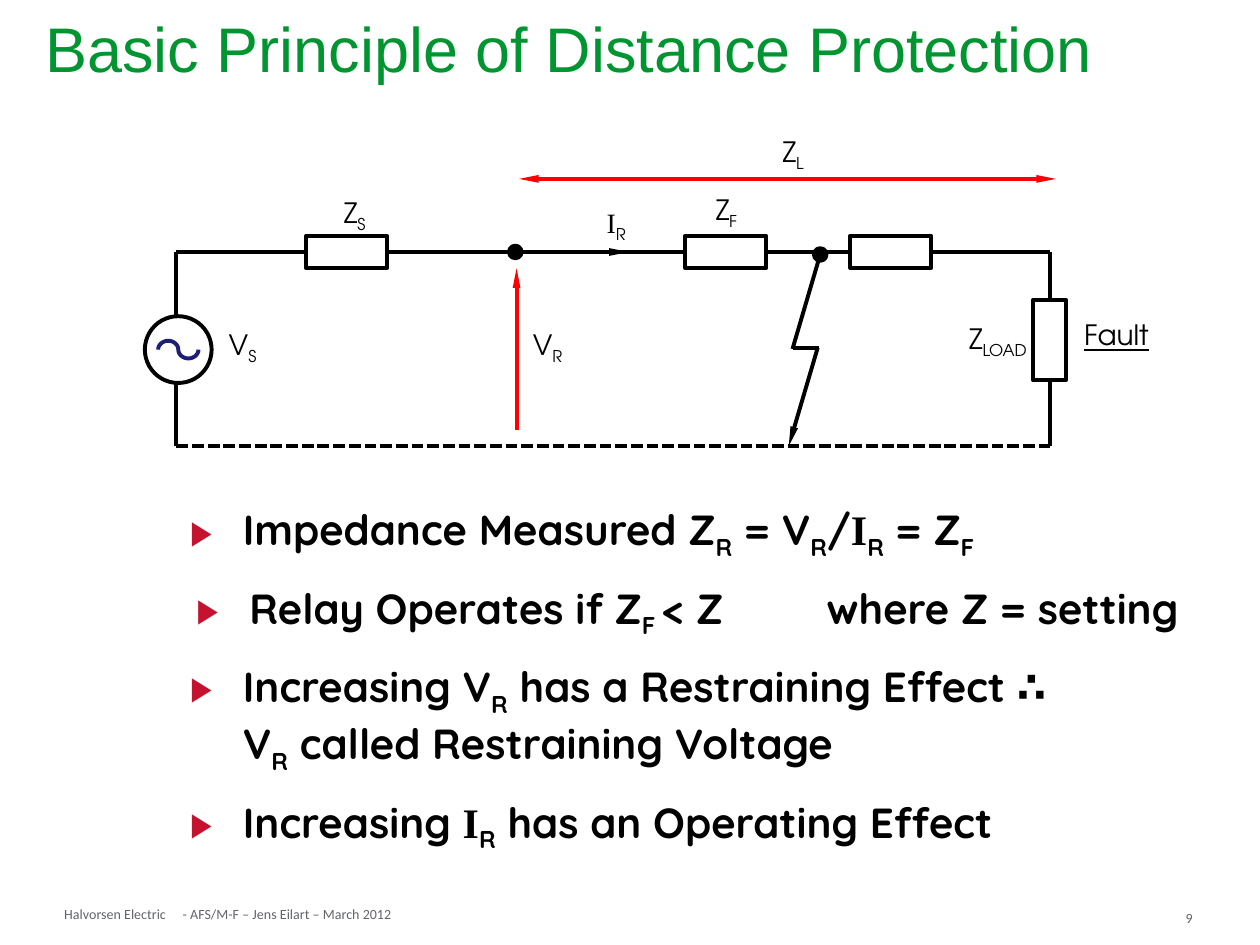
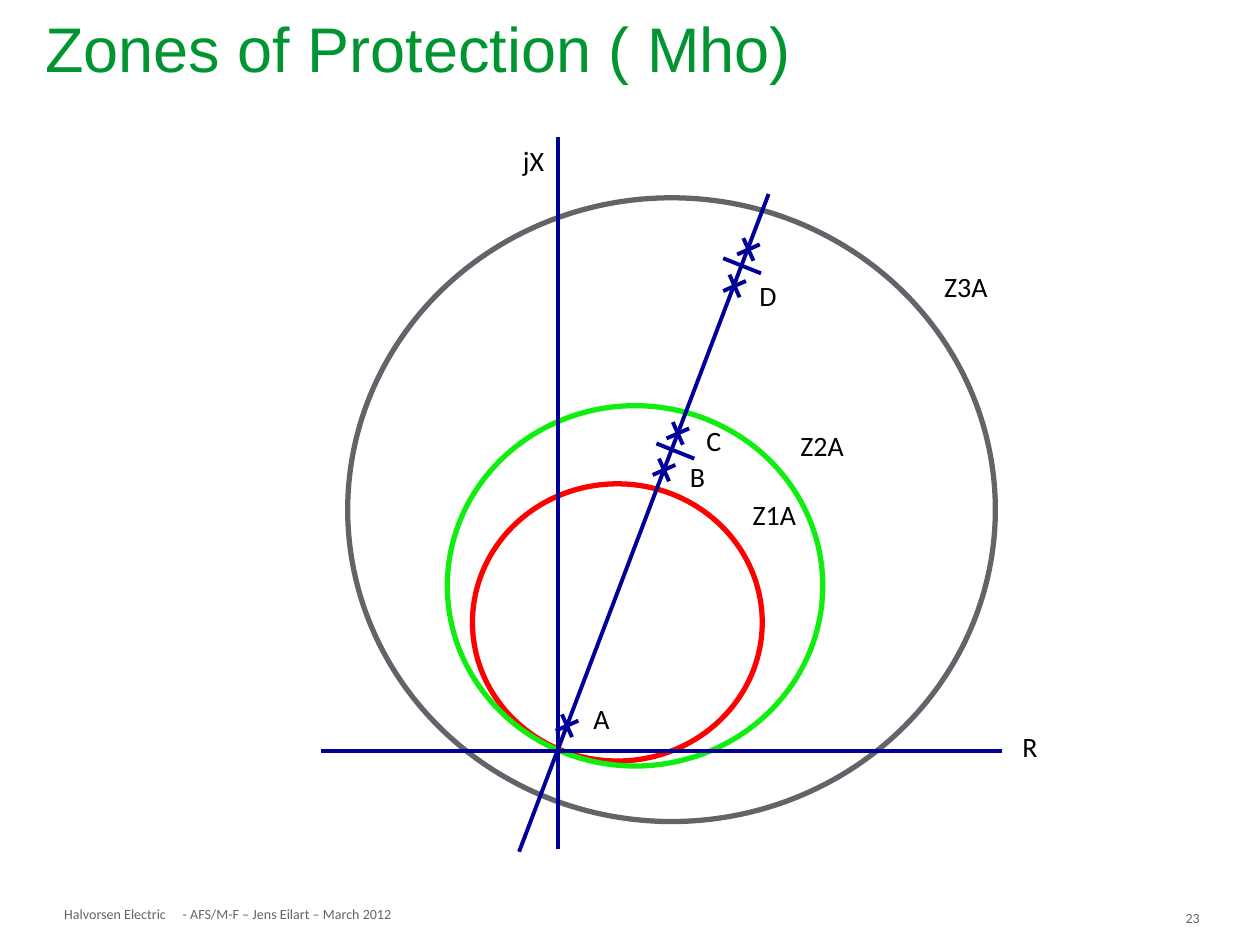
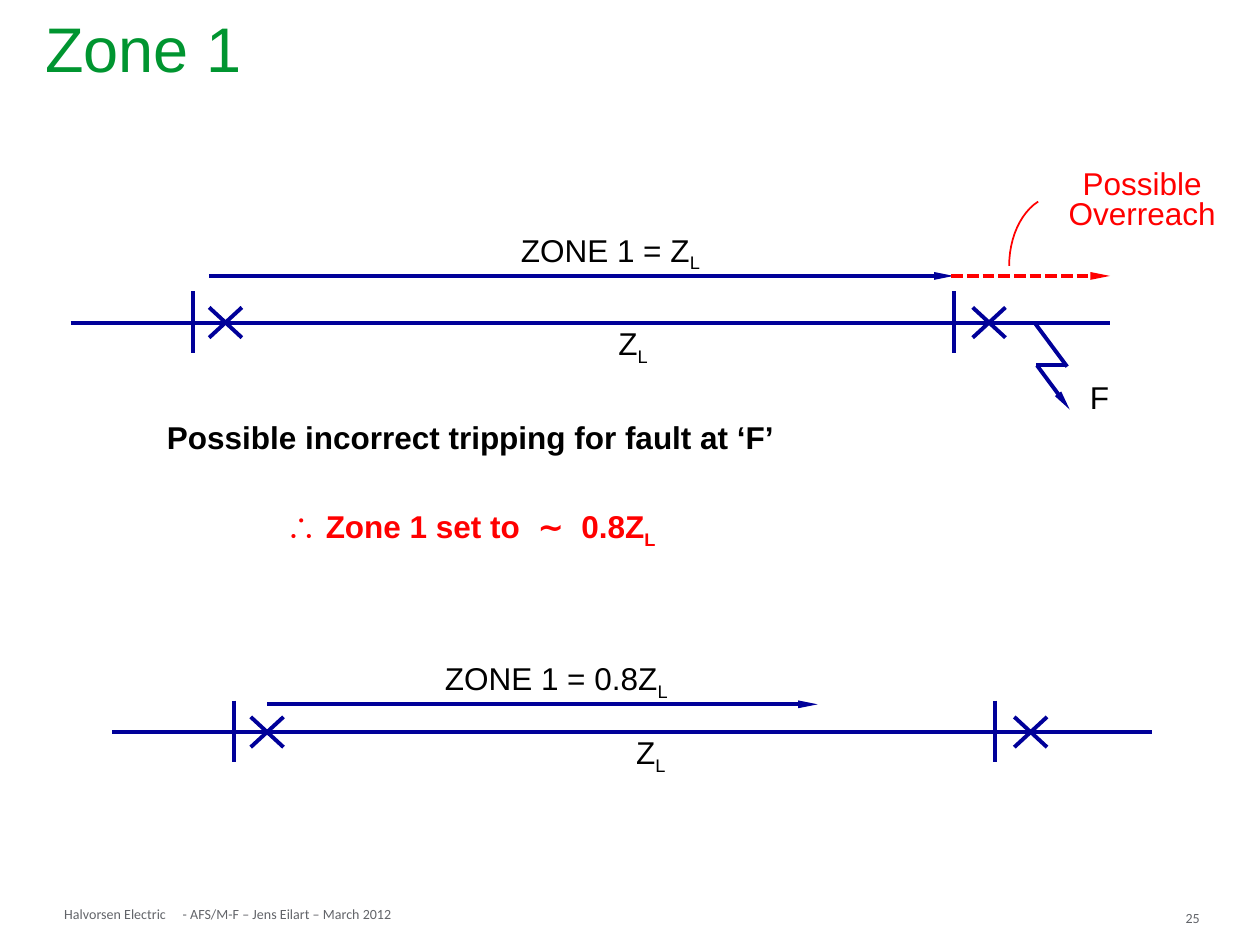
from dataclasses import dataclass
from math import cos, pi, sin

from lxml import etree
from pptx import Presentation
from pptx.dml.color import RGBColor
from pptx.enum.dml import MSO_LINE
from pptx.enum.shapes import MSO_CONNECTOR, MSO_SHAPE
from pptx.enum.text import MSO_ANCHOR, PP_ALIGN
from pptx.oxml.ns import qn
from pptx.util import Inches, Pt


@dataclass(frozen=True)
class Theme:
    green: str = "009530"
    gray: str = "626469"
    black: str = "000000"
    white: str = "FFFFFF"
    red: str = "FF0000"
    lime: str = "10EE10"
    blue: str = "000099"
    indigo: str = "1E1E78"
    crimson: str = "C4122F"
    title_font: str = "Arial"
    small_font: str = "Calibri"
    circuit_font: str = "TeX Gyre Adventor"
    bullet_font: str = "Quicksand"
    serif_font: str = "Times New Roman"
    title_size: int = 36
    bullet_size: int = 24
    text_size: int = 18
    label_size: int = 16
    footer_size: int = 8
    stroke: float = 2.25
    ring_stroke: float = 3
    thin_stroke: float = 1


THEME = Theme()
FOOTER_PARTS = ((0.51, 0.88, "Halvorsen Electric"), (1.45, 1.75, "- AFS/M-F – Jens Eilart – March 2012"))
CENTER = {"alignment": PP_ALIGN.CENTER}


def rgb(color):
    return RGBColor.from_string(color)


def font_of(name, size, color=THEME.black, **more):
    return {"name": name, "size": Pt(size), "color": color, **more}


TITLE = font_of(THEME.title_font, THEME.title_size, THEME.green)
FOOTER = font_of(THEME.small_font, THEME.footer_size, THEME.gray)
CIRCUIT = font_of(THEME.circuit_font, THEME.label_size)
IMPEDANCE = font_of(THEME.small_font, THEME.label_size)
ZONE = font_of(THEME.title_font, THEME.text_size)
BULLET = font_of(THEME.bullet_font, THEME.bullet_size, bold=True)
SERIF_I = [("I", {"name": THEME.serif_font})]


def spans_of(text):
    """Split text at bars; every second part is a subscript."""
    return [(part, {"baseline": -25000} if index % 2 else {})
            for index, part in enumerate(text.split("|")) if part]


def write_para(para, content, font, **layout):
    for key, value in layout.items():
        setattr(para, key, value)
    for text, changes in spans_of(content) if isinstance(content, str) else content:
        if text == "\n":
            para.add_line_break()
            continue
        span = para.add_run()
        span.text = text
        for key, value in {**font, **changes}.items():
            if key == "color":
                span.font.color.rgb = rgb(value)
            elif key in ("baseline", "spc"):
                span._r.get_or_add_rPr().set(key, str(value))
            else:
                setattr(span.font, key, value)


def add_bullet(para, tab):
    props = para._p.get_or_add_pPr()
    for key, value in (("marL", Inches(0.42)), ("indent", Inches(-0.42))):
        props.set(key, str(value))
    color = etree.SubElement(props, qn("a:buClr"))
    etree.SubElement(color, qn("a:srgbClr"), val=THEME.crimson)
    etree.SubElement(props, qn("a:buSzPct"), val="80000")
    etree.SubElement(props, qn("a:buFont"), typeface=THEME.title_font)
    etree.SubElement(props, qn("a:buChar"), char="▶")
    if tab:
        stops = etree.SubElement(props, qn("a:tabLst"))
        etree.SubElement(stops, qn("a:tab"), pos=str(Inches(tab)), algn="l")


class Pane:
    """Drawing area whose coordinates are inches from its own origin."""

    def __init__(self, page, left=0, top=0):
        self.shapes, self.left, self.top = page.shapes, left, top

    def point(self, x, y):
        return Inches(self.left + x), Inches(self.top + y)

    def text_frame(self, x, y, width, height, inset=0.01, wrap=True):
        box = self.shapes.add_textbox(*self.point(x, y), Inches(width), Inches(height))
        frame = box.text_frame
        frame.word_wrap = wrap
        for side in ("left", "top", "right", "bottom"):
            setattr(frame, f"margin_{side}", Inches(inset))
        return frame

    def label(self, x, y, width, height, content, font):
        frame = self.text_frame(x, y, width, height)
        write_para(frame.paragraphs[0], content, font, **CENTER)

    def line(self, start, end, color=THEME.blue, dash=None, arrows=()):
        connector = self.shapes.add_connector(
            MSO_CONNECTOR.STRAIGHT, *self.point(*start), *self.point(*end))
        connector.line.color.rgb = rgb(color)
        connector.line.width = Pt(THEME.stroke)
        if dash:
            connector.line.dash_style = dash
        stroke = connector.line._get_or_add_ln()
        for arrow in arrows:
            etree.SubElement(stroke, qn(f"a:{arrow}"), type="triangle", w="sm", len="lg")
        etree.SubElement(connector._element.spPr, qn("a:effectLst"))

    def path_through(self, points, color, width=THEME.stroke):
        corners = [self.point(*point) for point in points]
        builder = self.shapes.build_freeform(*corners[0])
        builder.add_line_segments(corners[1:], close=False)
        self.paint(builder.convert_to_shape(), None, color, width)

    def shape(self, kind, x, y, width, height, fill=None, color=THEME.black, stroke=THEME.stroke):
        figure = self.shapes.add_shape(kind, *self.point(x, y), Inches(width), Inches(height))
        self.paint(figure, fill, color, stroke)

    @staticmethod
    def paint(figure, fill, color, stroke):
        figure.shadow.inherit = False
        if fill:
            figure.fill.solid()
            figure.fill.fore_color.rgb = rgb(fill)
        else:
            figure.fill.background()
        figure.line.color.rgb = rgb(color)
        figure.line.width = Pt(stroke)


def add_page(deck, title, number):
    page = deck.slides.add_slide(deck.slide_layouts[5])
    holder = page.shapes.title
    for key, value in {"left": 0.26, "top": 0.09, "width": 9.44, "height": 0.64}.items():
        setattr(holder, key, Inches(value))
    frame = holder.text_frame
    frame.vertical_anchor = MSO_ANCHOR.MIDDLE
    write_para(frame.paragraphs[0], title, TITLE, alignment=PP_ALIGN.LEFT, line_spacing=0.9)
    footer = Pane(page, 0, 7.19)
    for x, width, text in FOOTER_PARTS:
        frame = footer.text_frame(x, 0, width, 0.13, inset=0, wrap=False)
        write_para(frame.paragraphs[0], text, FOOTER)
    frame = footer.text_frame(9.41, 0.03, 0.32, 0.08, inset=0)
    write_para(frame.paragraphs[0], str(number), FOOTER)
    return page


def draw_source(pane, size):
    """Circle with one wave period centred in it."""
    pane.shape(MSO_SHAPE.OVAL, 0, 0, size, size)
    middle, radius, crest = size / 2, 0.08, 0.07
    angles = [pi * step / 16 for step in range(17)]
    hump = [(-radius - radius * cos(angle), -crest * sin(angle)) for angle in angles]
    dip = [(-x, -y) for x, y in reversed(hump)]
    pane.path_through([(middle + x, middle + y) for x, y in hump + dip[1:]], THEME.indigo)


def draw_circuit(pane, width, height):
    """Loop with impedances, relay point and fault."""
    black, red = THEME.black, THEME.red
    for start, end in (((0, 0), (0, 0.51)), ((0, 1.04), (0, height)),
                       ((0, 0), (width, 0)), ((width, 0), (width, height))):
        pane.line(start, end, black)
    pane.line((0, height), (width, height), black, MSO_LINE.SQUARE_DOT)

    for x in (1.03, 4.04, 5.35):
        pane.shape(MSO_SHAPE.RECTANGLE, x, -0.13, 0.64, 0.26, THEME.white)
    pane.shape(MSO_SHAPE.RECTANGLE, width - 0.13, 0.38, 0.26, 0.64, THEME.white)
    for x, y in ((2.64, -0.05), (5.06, -0.03)):
        pane.shape(MSO_SHAPE.OVAL, x, y, 0.1, 0.1, black)

    pane.line((3.37, 0), (3.59, 0), black, arrows=["tailEnd"])
    pane.line((2.7, 1.41), (2.7, 0.13), red, arrows=["tailEnd"])
    pane.line((2.72, -0.58), (6.98, -0.58), red, arrows=["headEnd", "tailEnd"])
    pane.line((5.11, 0.02), (4.89, 0.77), black)
    pane.line((4.89, 0.76), (5.1, 0.76), black)
    pane.line((5.09, 0.76), (4.86, height), black, arrows=["tailEnd"])

    for x, y, box_width, content in (
            (1.21, -0.46, 0.41, "Z|S"), (4.16, -0.48, 0.41, "Z|F"),
            (4.69, -0.94, 0.41, "Z|L"), (0.32, 0.59, 0.41, "V|S"),
            (2.74, 0.59, 0.41, "V|R"), (6.11, 0.54, 0.82, "Z|LOAD"),
            (3.3, -0.38, 0.38, SERIF_I + spans_of("|R")),
            (6.79, 0.51, 1.34, [("Fault", {"underline": True})])):
        pane.label(x, y, box_width, 0.43, content, CIRCUIT)


def write_bullets(pane, width, height):
    frame = pane.text_frame(0, 0, width, height, inset=0.1)
    frame.margin_top = frame.margin_bottom = Inches(0.05)
    bullets = (
        (spans_of("Impedance Measured Z|R| = V|R|/") + SERIF_I + spans_of("|R| = Z|F"), {}),
        (spans_of("Relay Operates if Z|F |< Z\twhere Z = setting"), CENTER),
        (spans_of("Increasing V|R| has a Restraining Effect ∴") + [("\n", {})]
         + spans_of("V|R| called Restraining Voltage"), {}),
        (spans_of("Increasing ") + SERIF_I + spans_of("|R| has an Operating Effect"), {}))
    for index, (content, layout) in enumerate(bullets):
        para = frame.add_paragraph() if index else frame.paragraphs[0]
        add_bullet(para, tab=5 if layout else None)
        if index:
            para.space_before = Pt(12)
        write_para(para, content, BULLET, **layout)


def draw_stroke(pane, center, reach):
    """Line running the same reach to both sides of its center."""
    (x, y), (dx, dy) = center, reach
    pane.line((x - dx, y - dy), (x + dx, y + dy))


def draw_mho_zones(pane):
    """Zone circles around an R-jX origin, with the line impedance across."""
    for x, y, width, height, color in (
            (-0.68, -2.12, 2.3, 2.2, THEME.red),
            (-0.88, -2.74, 2.98, 2.86, THEME.lime),
            (-1.67, -4.39, 5.14, 4.95, THEME.gray)):
        pane.shape(MSO_SHAPE.OVAL, x, y, width, height, color=color, stroke=THEME.ring_stroke)
    for start, end in (((0, -4.87), (0, 0.78)), ((-1.88, 0), (3.52, 0)),
                       ((1.67, -4.42), (-0.31, 0.8))):
        pane.line(start, end)
    for busbar in ((1.46, -3.85), (0.93, -2.38)):
        draw_stroke(pane, busbar, (0.15, 0.06))
    for breaker in ((1.51, -3.98), (1.4, -3.69), (0.95, -2.52), (0.84, -2.23), (0.07, -0.2)):
        draw_stroke(pane, breaker, (0.09, -0.04))
        draw_stroke(pane, breaker, (0.04, 0.09))
    for x, y, text in (
            (3.58, -0.18, "R"), (0.18, -0.4, "A"), (1.5, -3.76, "D"), (1.07, -2.61, "C"),
            (0.94, -2.32, "B"), (-0.36, -4.83, "jX"),
            (1.39, -2.02, "Z1A"), (1.77, -2.57, "Z2A"), (2.91, -3.83, "Z3A")):
        pane.label(x, y, 0.65 if len(text) == 3 else 0.33, 0.36, text, IMPEDANCE)


def draw_protected_line(pane, reach, reach_label, line_label_x):
    """Line with a busbar and breaker at each end, and the zone 1 reach above."""
    pane.line((0, 0), (8.25, 0))
    for busbar, breaker in ((0.97, 1.23), (7.01, 7.29)):
        pane.line((busbar, -0.25), (busbar, 0.24))
        for rise in (-0.12, 0.12):
            draw_stroke(pane, (breaker, 0), (0.13, rise))
    start, end, y = reach
    pane.line((start, y), (end, y), arrows=["tailEnd"])
    label_x, label_width, text = reach_label
    pane.label(label_x, y - 0.37, label_width, 0.4, text, ZONE)
    pane.label(line_label_x, 0, 0.41, 0.43, "Z|L", ZONE)


def draw_overreach(pane):
    """Dashed reach past the line end, its caption and the fault at F."""
    pane.line((0, 0), (1.26, 0), THEME.red, MSO_LINE.SQUARE_DOT, ["tailEnd"])
    steps = [step / 12 for step in range(13)]
    leader = [tuple((1 - t) ** 3 * a + 3 * (1 - t) ** 2 * t * b + 3 * (1 - t) * t ** 2 * c + t ** 3 * d
                    for a, b, c, d in ((0.69, 0.55, 0.46, 0.46), (-0.59, -0.5, -0.3, -0.08)))
              for t in steps]
    pane.path_through(leader, THEME.red, THEME.thin_stroke)
    pane.line((0.66, 0.37), (0.92, 0.72))
    pane.line((0.92, 0.71), (0.67, 0.71))
    pane.line((0.68, 0.71), (0.94, 1.06), arrows=["tailEnd"])
    pane.label(0.97, 0.8, 0.41, 0.37, "F", ZONE)
    frame = pane.text_frame(0.72, -0.84, 1.59, 0.63)
    for para, text in ((frame.paragraphs[0], "Possible"), (frame.add_paragraph(), "Overreach")):
        write_para(para, text, {**ZONE, "color": THEME.red}, line_spacing=0.8, **CENTER)


def write_conclusion(pane, width, height):
    frame = pane.text_frame(0, 0, width, height, inset=0.1, wrap=False)
    frame.margin_top = frame.margin_bottom = Inches(0.05)
    bold = {**ZONE, "bold": True}
    write_para(frame.paragraphs[0], "Possible incorrect tripping for fault at ‘F’", bold, **CENTER)
    gap = (" ", {"spc": 500})
    content = [("∴ Zone 1 set to", {}), gap, ("∼", {}), gap] + spans_of("0.8Z|L")
    write_para(frame.add_paragraph(), content, {**bold, "color": THEME.red},
               space_before=Pt(29), **CENTER)


def main():
    deck = Presentation()
    deck.slide_width, deck.slide_height = Inches(10), Inches(7.5)

    page = add_page(deck, "Basic Principle of Distance Protection", 9)
    draw_circuit(Pane(page, 1.4, 2), 6.93, 1.54)
    draw_source(Pane(page, 1.15, 2.51), 0.53)
    write_bullets(Pane(page, 1.41, 3.95), 8.09, 2.73)

    page = add_page(deck, "Zones of Protection ( Mho)", 23)
    draw_mho_zones(Pane(page, 4.43, 5.96))

    page = add_page(deck, "Zone 1", 25)
    draw_protected_line(Pane(page, 0.56, 2.56), (1.1, 7.01, -0.37), (3.37, 1.83, "ZONE 1 = Z|L"), 4.26)
    draw_overreach(Pane(page, 7.55, 2.19))
    write_conclusion(Pane(page, 1.2, 3.27), 5.07, 1.14)
    draw_protected_line(Pane(page, 0.89, 5.81), (1.23, 5.6, -0.22), (2.23, 2.59, "ZONE 1 = 0.8Z|L"), 4.07)

    deck.save("out.pptx")


if __name__ == "__main__":
    main()
